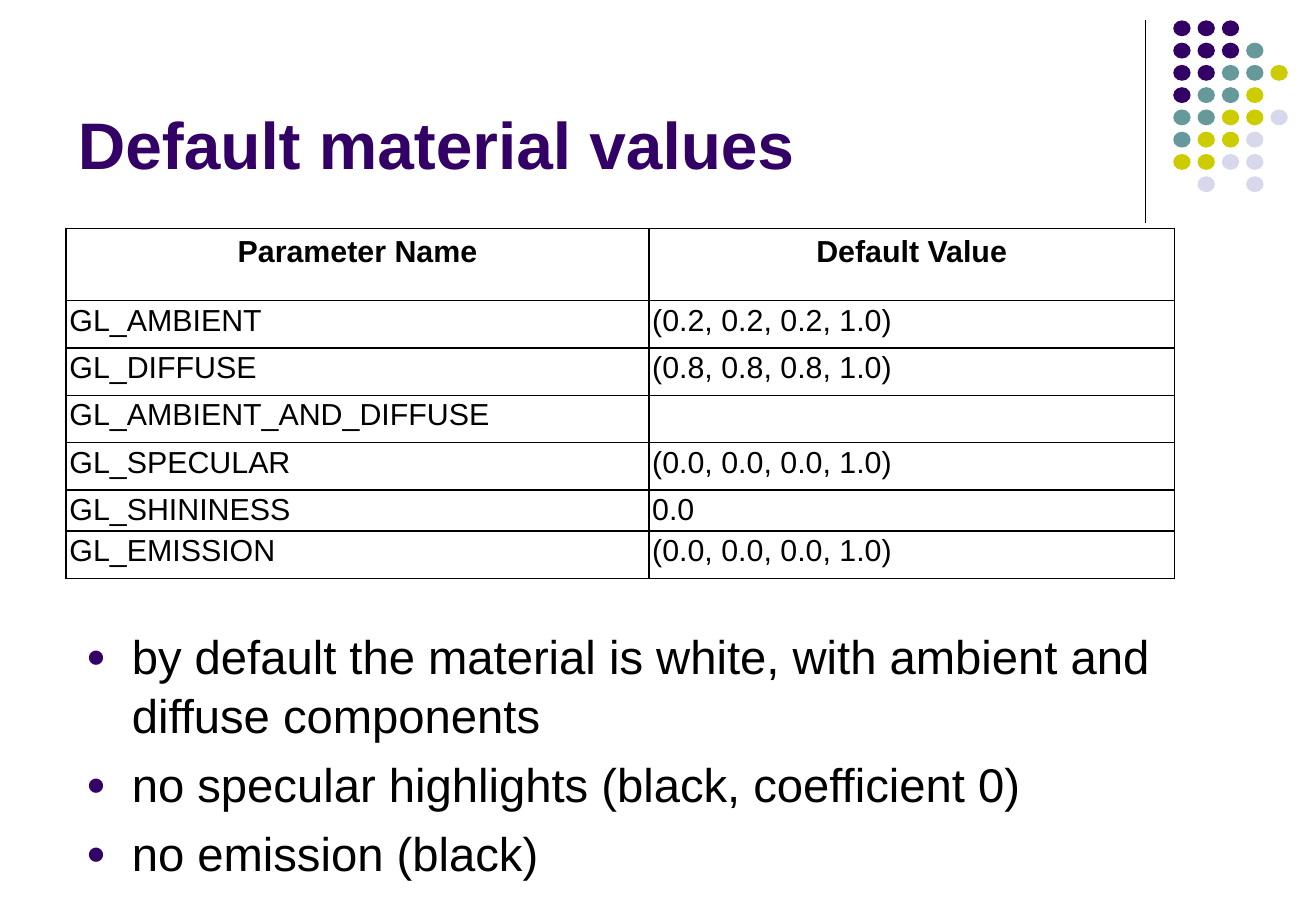
from lxml.etree import SubElement
from pptx import Presentation
from pptx.dml.color import RGBColor
from pptx.enum.shapes import MSO_CONNECTOR, MSO_SHAPE
from pptx.enum.text import MSO_ANCHOR, MSO_AUTO_SIZE, PP_ALIGN
from pptx.oxml.ns import qn
from pptx.util import Pt

PURPLE = RGBColor(0x33, 0x00, 0x66)
TEAL = RGBColor(0x66, 0x99, 0x99)
LIME = RGBColor(0xCC, 0xCC, 0x00)
LAVENDER = RGBColor(0xD8, 0xD8, 0xEC)
BLACK = RGBColor(0x00, 0x00, 0x00)
WHITE = RGBColor(0xFF, 0xFF, 0xFF)


def write(para, text, size=18, color=BLACK, bold=False, align=PP_ALIGN.LEFT):
    para.alignment = align
    span = para.add_run()
    span.text = text
    span.font.name = "Arial"
    span.font.size = Pt(size)
    span.font.bold = bold
    span.font.color.rgb = color


def place(shape, left, top, width, height):
    shape.left, shape.top = Pt(left), Pt(top)
    shape.width, shape.height = Pt(width), Pt(height)


deck = Presentation()
deck.slide_width, deck.slide_height = Pt(780), Pt(540)
page = deck.slides.add_slide(deck.slide_layouts[1])

title = page.shapes.title
place(title, 38.9, 9.4, 643.7, 102.2)
title.text_frame.auto_size = MSO_AUTO_SIZE.NONE
title.text_frame.vertical_anchor = MSO_ANCHOR.BOTTOM
write(title.text_frame.paragraphs[0], "Default material values", size=39, color=PURPLE, bold=True)

rule = page.shapes.add_connector(MSO_CONNECTOR.STRAIGHT, Pt(679), Pt(12), Pt(679), Pt(132))
rule.line.color.rgb = BLACK
rule.line.width = Pt(0.75)
SubElement(rule.element.spPr, qn("a:effectLst"))

dot_colors = {"P": PURPLE, "T": TEAL, "L": LIME, "V": LAVENDER}
dot_rows = ["PPP", "PPPT", "PPTTL", "PTTL", "TTLLV", "TLLV", "LLVV", "-V-V"]
for row, letters in enumerate(dot_rows):
    for column, letter in enumerate(letters):
        if letter in dot_colors:
            dot = page.shapes.add_shape(
                MSO_SHAPE.OVAL, Pt(695.4 + 14.4 * column), Pt(12.1 + 13.2 * row), Pt(10.3), Pt(9.4))
            dot.shadow.inherit = False
            dot.fill.solid()
            dot.fill.fore_color.rgb = dot_colors[letter]
            dot.line.fill.background()

materials = [
    ("Parameter Name", "Default Value"),
    ("GL_AMBIENT", "(0.2, 0.2, 0.2, 1.0)"),
    ("GL_DIFFUSE", "(0.8, 0.8, 0.8, 1.0)"),
    ("GL_AMBIENT_AND_DIFFUSE", ""),
    ("GL_SPECULAR", "(0.0, 0.0, 0.0, 1.0)"),
    ("GL_SHININESS", "0.0"),
    ("GL_EMISSION", "(0.0, 0.0, 0.0, 1.0)"),
]
row_heights = [42.7, 28.1, 28.1, 28.1, 28.1, 24.3, 28.1]
table = page.shapes.add_table(
    len(materials), 2, Pt(39.2), Pt(135.4), Pt(657), Pt(sum(row_heights))).table
table.first_row = False
table.horz_banding = False
for column, width in zip(table.columns, (345.4, 311.6)):
    column.width = Pt(width)
for row, (height, texts) in enumerate(zip(row_heights, materials)):
    table.rows[row].height = Pt(height)
    header = row == 0
    for column, text in enumerate(texts):
        cell = table.cell(row, column)
        cell.margin_left = cell.margin_right = Pt(2)
        cell.margin_top = cell.margin_bottom = Pt(3.6 if header else 1.8)
        properties = cell._tc.get_or_add_tcPr()
        for side in ("a:lnL", "a:lnR", "a:lnT", "a:lnB"):
            border = SubElement(properties, qn(side), w=str(Pt(1)))
            SubElement(SubElement(border, qn("a:solidFill")), qn("a:srgbClr"), val=str(BLACK))
        cell.fill.solid()
        cell.fill.fore_color.rgb = WHITE
        if text:
            write(cell.text_frame.paragraphs[0], text, bold=header,
                  align=PP_ALIGN.CENTER if header else PP_ALIGN.LEFT)

notes = [
    "by default the material is white, with ambient and diffuse components",
    "no specular highlights (black, coefficient 0)",
    "no emission (black)",
]
body = page.placeholders[1]
place(body, 43.9, 366.5, 685.4, 158.4)
frame = body.text_frame
frame.auto_size = MSO_AUTO_SIZE.NONE
for index, note in enumerate(notes):
    para = frame.add_paragraph() if index else frame.paragraphs[0]
    write(para, note, size=28)
    para.line_spacing = 1.05
    para.space_before = Pt(5.6)
    properties = para._p.get_or_add_pPr()
    properties.set("marL", str(Pt(27)))
    properties.set("indent", str(Pt(-27)))
    SubElement(SubElement(properties, qn("a:buClr")), qn("a:srgbClr"), val=str(PURPLE))
    SubElement(properties, qn("a:buSzPct"), val="70000")
    SubElement(properties, qn("a:buFont"), typeface="Arial")
    SubElement(properties, qn("a:buChar"), char="●")

deck.save("out.pptx")
